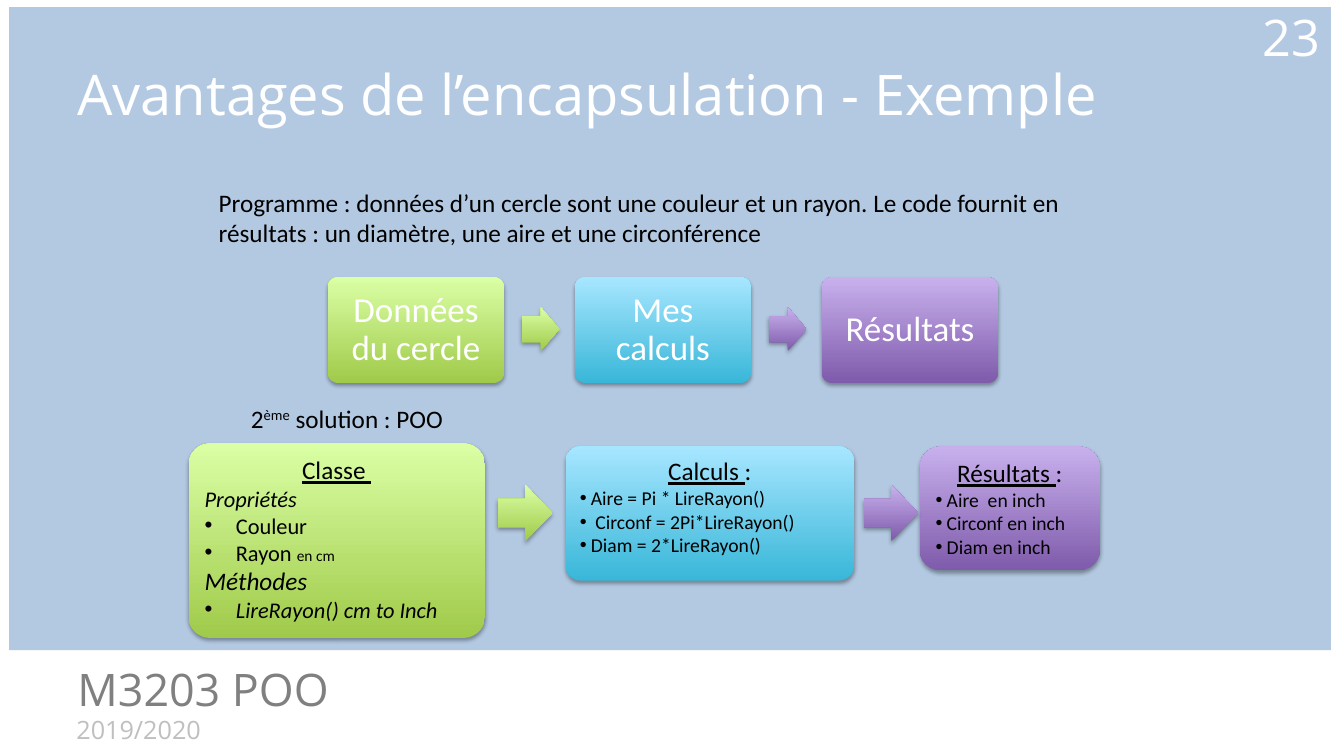
from lxml.etree import SubElement
from pptx import Presentation
from pptx.dml.color import RGBColor
from pptx.enum.shapes import MSO_SHAPE
from pptx.enum.text import MSO_ANCHOR, MSO_AUTO_SIZE, PP_ALIGN
from pptx.oxml.ns import qn
from pptx.util import Inches, Pt

GREEN = ("A0CA4A", "DAFFA5")
BLUE = ("39B7D8", "A7E6FF")
PURPLE = ("7F5BAB", "C8B0ED")
CENTER = {"alignment": PP_ALIGN.CENTER}
RIGHT = {"alignment": PP_ALIGN.RIGHT}
TOP = {"vertical_anchor": MSO_ANCHOR.TOP}
MIDDLE = {"vertical_anchor": MSO_ANCHOR.MIDDLE}
GROW = {**TOP, "auto_size": MSO_AUTO_SIZE.SHAPE_TO_FIT_TEXT}


def rgb(color):
    return RGBColor.from_string(color)


def apply(target, values):
    for name, value in values.items():
        setattr(target, name, value)


def heading(*runs):
    return {"format": CENTER, "runs": runs}


def line(*runs, **extra):
    return {"runs": runs, **extra}


def bullets(texts, indent, **font):
    return [line((text, font), bullet=indent) for text in texts]


class Deck:
    def __init__(self):
        self.prs = Presentation()
        apply(self.prs, {"slide_width": Inches(13.33), "slide_height": Inches(7.5)})
        self.slide = self.prs.slides.add_slide(self.prs.slide_layouts[6])
        self.font = {"name": "Calibri", "size": 18, "color": "000000"}

    def fill_text(self, sp, paragraphs, frame):
        tf = sp.text_frame
        apply(tf, {"word_wrap": True, **frame})
        for i, item in enumerate(paragraphs):
            p = tf.paragraphs[0] if i == 0 else tf.add_paragraph()
            apply(p, {"alignment": PP_ALIGN.LEFT, **item.get("format", {})})
            if "bullet" in item:
                indent = Inches(item["bullet"])
                pPr = p._p.get_or_add_pPr()
                pPr.set("marL", str(indent))
                pPr.set("indent", str(-indent))
                SubElement(pPr, qn("a:buFont"), typeface="Arial")
                SubElement(pPr, qn("a:buChar"), char="•")
            for text, values in item["runs"]:
                font = {**self.font, **values}
                r = p.add_run()
                r.text = text
                r.font.color.rgb = rgb(font.pop("color"))
                baseline = font.pop("baseline", None)
                if baseline:
                    r._r.get_or_add_rPr().set("baseline", str(baseline))
                apply(r.font, {**font, "size": Pt(font["size"])})

    def text(self, box, paragraphs, frame=GROW):
        sp = self.slide.shapes.add_textbox(*map(Inches, box))
        self.fill_text(sp, paragraphs, frame)

    def panel(self, box, color, alpha):
        sp = self.slide.shapes.add_shape(MSO_SHAPE.RECTANGLE, *map(Inches, box))
        sp.shadow.inherit = False
        sp.fill.solid()
        sp.fill.fore_color.rgb = rgb(color)
        sp.line.fill.background()
        clr = sp._element.spPr.find(".//" + qn("a:srgbClr"))
        SubElement(clr, qn("a:alpha"), val=str(alpha * 1000))

    def glossy(self, kind, box, colors, adjust):
        sp = self.slide.shapes.add_shape(kind, *map(Inches, box))
        for i, value in enumerate(adjust):
            sp.adjustments[i] = value
        sp.fill.gradient()
        sp.fill.gradient_angle = 90
        for stop, color in zip(sp.fill.gradient_stops, colors):
            stop.color.rgb = rgb(color)
        sp.line.fill.background()
        sp.shadow.inherit = False
        effects = sp._element.spPr.find(qn("a:effectLst"))
        shadow = SubElement(effects, qn("a:outerShdw"), blurRad=str(Pt(3.1)),
                            dist=str(Pt(1.8)), dir="5400000", rotWithShape="0")
        clr = SubElement(shadow, qn("a:srgbClr"), val="000000")
        SubElement(clr, qn("a:alpha"), val="35000")
        return sp

    def card(self, box, colors, radius, paragraphs, frame=TOP):
        sp = self.glossy(MSO_SHAPE.ROUNDED_RECTANGLE, box, colors, [radius])
        self.fill_text(sp, paragraphs, frame)

    def arrow(self, box, colors, adjust=(0.5, 0.5)):
        self.glossy(MSO_SHAPE.RIGHT_ARROW, box, colors, adjust)


def main():
    deck = Deck()
    title = {"name": "Open Sans", "color": "FFFFFF"}

    deck.panel((0.09, 0.07, 13.11, 6.38), "95B3D7", 71)
    deck.text((0.66, 7.04, 5.33, 0.4),
              [line(("2019/2020", {"name": "Open Sans", "color": "BFBFBF"}))])
    deck.text((0.67, 6.52, 6.83, 0.64),
              [line(("M3203 POO", {"name": "Open Sans", "size": 32, "color": "808080"}))])
    deck.text((0.67, 0.3, 12, 1.25),
              [line(("Avantages de l’encapsulation - Exemple", {**title, "size": 40}))], MIDDLE)
    deck.text((2.07, 1.81, 8.65, 0.71),
              [line(("Programme : données d’un cercle sont une couleur et un rayon. "
                     "Le code fournit en résultats : un diamètre, une aire et une "
                     "circonférence", {}))])

    steps = [("Données du cercle", GREEN), ("Mes calculs", BLUE), ("Résultats", PURPLE)]
    margins = {f"margin_{side}": Inches(0.1) for side in ("left", "top", "right", "bottom")}
    label = {"size": 25, "color": "FFFFFF"}
    left, pitch = 3.25, 2.45
    for i, (name, colors) in enumerate(steps):
        x = left + i * pitch
        if i:
            arrow_colors = GREEN if i == 1 else PURPLE
            deck.arrow((x - 0.52, 3.05, 0.37, 0.43), arrow_colors, (0.6, 0.5))
        deck.card((x, 2.75, 1.75, 1.05), colors, 0.1,
                  [line((name, label), format={**CENTER, "line_spacing": 0.9})],
                  {**MIDDLE, **margins})

    underlined = {"underline": True}
    deck.card((1.87, 4.4, 2.94, 1.93), GREEN, 0.11, [
        heading(("Classe ", underlined)),
        line(("Propriétés", {"size": 16, "italic": True})),
        *bullets(["Couleur"], 0.31, size=16),
        line(("Rayon ", {"size": 16}), ("en cm", {"size": 11}), bullet=0.31),
        line(("Méthodes", {"italic": True})),
        *bullets(["LireRayon() cm to Inch"], 0.31, size=16, italic=True),
    ])
    details = [
        ("Calculs ", (5.61, 4.43, 2.86, 1.33), BLUE, 0.11,
         ["Aire = Pi * LireRayon()", " Circonf = 2Pi*LireRayon()", "Diam = 2*LireRayon()"]),
        ("Résultats ", (9.12, 4.43, 1.79, 1.23), PURPLE, 0.17,
         ["Aire  en inch", "Circonf en inch", "Diam en inch"]),
    ]
    for name, box, colors, radius, items in details:
        deck.card(box, colors, radius, [
            heading((name, underlined), (":", {})),
            *bullets(items, 0.11, size=14),
        ])
    for x, colors in ((4.94, GREEN), (8.57, PURPLE)):
        deck.arrow((x, 4.81, 0.54, 0.56), colors)

    deck.text((2.39, 3.95, 2.16, 0.4),
              [line(("2", {}), ("ème", {"baseline": 30000}), (" solution : POO", {}))],
              {**GROW, "word_wrap": False})
    deck.text((11.5, 0.07, 1.69, 0.58),
              [line(("23", {**title, "size": 36}), format=RIGHT)], MIDDLE)
    deck.prs.save("out.pptx")


if __name__ == "__main__":
    main()
